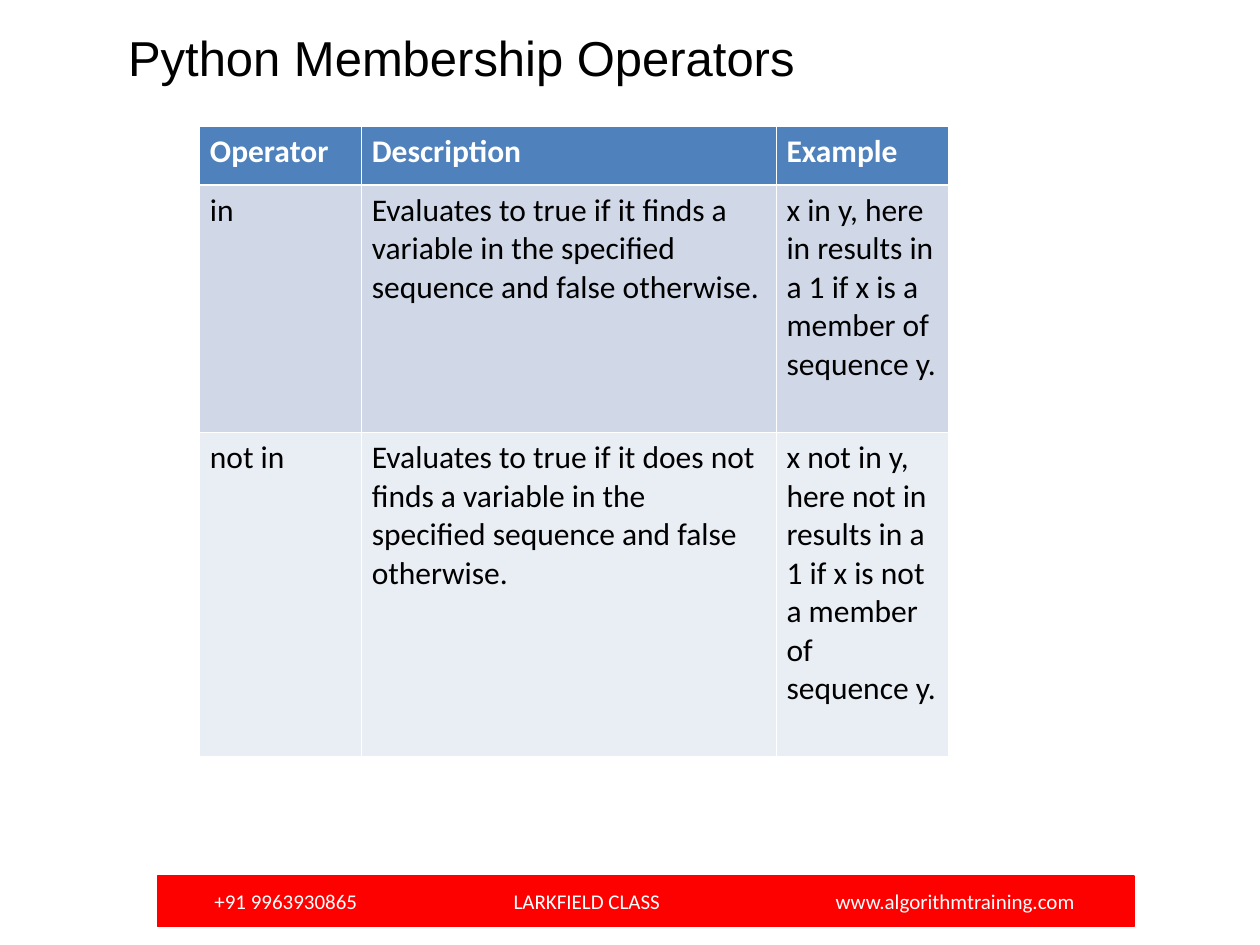
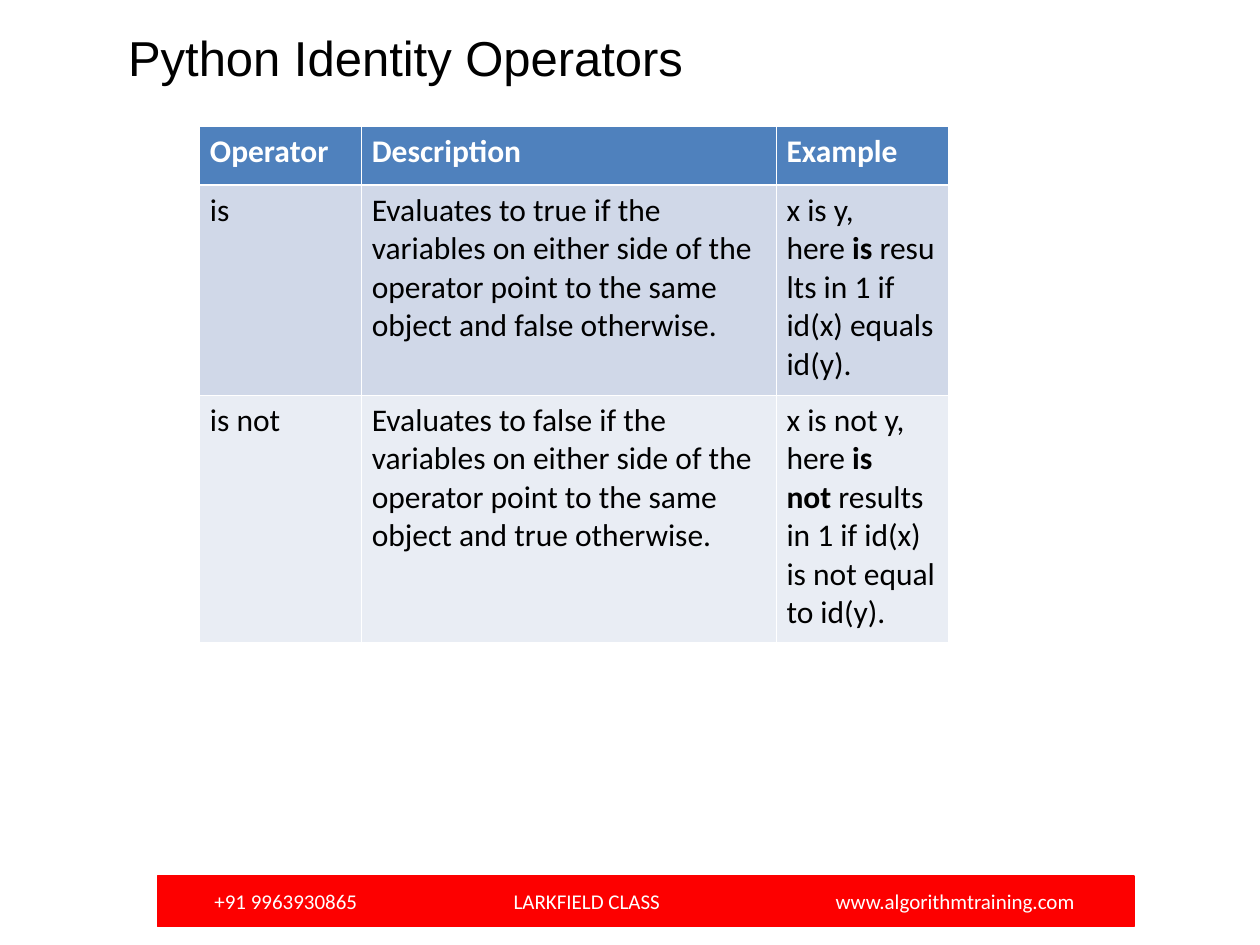
"""Build two slides of Python operator tables with a shared title and contact bar."""
from lxml.etree import SubElement
from pptx import Presentation
from pptx.dml.color import RGBColor
from pptx.enum.shapes import MSO_SHAPE
from pptx.enum.text import MSO_ANCHOR, MSO_AUTO_SIZE, PP_ALIGN
from pptx.oxml.ns import qn
from pptx.util import Pt

HARD_SPACE = chr(160)
HEADINGS = ("Operator", "Description", "Example")
SLIDES = [
    {
        "title": "Python Membership Operators",
        "rows": [
            ("in",
             "Evaluates to true if it finds a variable in the specified sequence and false otherwise.",
             "x in y, here in results in a 1 if x is a member of sequence y."),
            ("not in",
             "Evaluates to true if it does not finds a variable in the specified sequence and false otherwise.",
             "x not in y, here not in results in a 1 if x is not a member of sequence y."),
        ],
        "row_heights": (141.5, 185),
    },
    {
        "title": "Python Identity Operators",
        "rows": [
            ("is",
             "Evaluates to true if the variables on either side of the operator point to the same object and false otherwise.",
             f"x is y, here{HARD_SPACE}*is*{HARD_SPACE}results in 1 if id(x) equals id(y)."),
            ("is not",
             "Evaluates to false if the variables on either side of the operator point to the same object and true otherwise.",
             f"x is not y, here{HARD_SPACE}*is not*{HARD_SPACE}results in 1 if id(x) is not equal to id(y)."),
        ],
        "row_heights": (120, 141.5),
    },
]
CONTACTS = ("+91 9963930865", "LARKFIELD CLASS", "www.algorithmtraining.com")
CONTACT_TABS = (171, 355)

BLACK = RGBColor(0x00, 0x00, 0x00)
WHITE = RGBColor(0xFF, 0xFF, 0xFF)
RED = RGBColor(0xFD, 0x00, 0x00)
HEADER_BLUE = RGBColor(0x4F, 0x81, 0xBD)
BANDS = (RGBColor(0xD0, 0xD8, 0xE8), RGBColor(0xE9, 0xED, 0xF4))

COLUMN_WIDTHS = (92.5, 237, 98.5)
HEADER_HEIGHT = 33.75
THIN, THICK = 0.45, 1.47


def write(frame, text, *, size=18, font="Calibri", color=BLACK, bold=False, tabs=()):
    """Write left-aligned text, with starred parts in bold, into a text frame."""
    frame.word_wrap = True
    para = frame.paragraphs[0]
    para.alignment = PP_ALIGN.LEFT
    if tabs:
        tab_list = SubElement(para._p.get_or_add_pPr(), qn("a:tabLst"))
        for position in tabs:
            SubElement(tab_list, qn("a:tab"), pos=str(Pt(position)), algn="l")
    for index, part in enumerate(text.split("*")):
        span = para.add_run()
        span.text = part
        span.font.size = Pt(size)
        span.font.name = font
        span.font.bold = bold or index % 2 == 1
        span.font.color.rgb = color


def add_title(page, text):
    """Place the slide title in its placeholder."""
    title = page.shapes.title
    title.left, title.top, title.width, title.height = Pt(66), Pt(12), Pt(540), Pt(41)
    frame = title.text_frame
    frame.vertical_anchor = MSO_ANCHOR.TOP
    frame.auto_size = MSO_AUTO_SIZE.SHAPE_TO_FIT_TEXT
    write(frame, text, size=28, font="Arial")


def add_contact_bar(page):
    """Draw the red bar with the contact details at tab stops."""
    bar = page.shapes.add_shape(MSO_SHAPE.RECTANGLE, Pt(90), Pt(500.5), Pt(558), Pt(29))
    bar.shadow.inherit = False
    bar.fill.solid()
    bar.fill.fore_color.rgb = RED
    bar.line.color.rgb = RED
    bar.line.width = Pt(0.75)
    frame = bar.text_frame
    frame.margin_left = Pt(32.5)
    frame.vertical_anchor = MSO_ANCHOR.MIDDLE
    write(frame, "\t".join(CONTACTS), size=12, color=WHITE, tabs=CONTACT_TABS)


def style_cell(cell, fill, top, bottom):
    """Give a cell white borders, a plain fill and narrow side margins."""
    properties = cell._tc.get_or_add_tcPr()
    for side, width in (("L", THIN), ("R", THIN), ("T", top), ("B", bottom)):
        line = SubElement(properties, qn(f"a:ln{side}"), w=str(Pt(width)))
        SubElement(SubElement(line, qn("a:solidFill")), qn("a:srgbClr"), val=str(WHITE))
    cell.fill.solid()
    cell.fill.fore_color.rgb = fill
    cell.margin_left = cell.margin_right = Pt(6)


def add_operator_table(page, rows, row_heights):
    """Add the table of operators below the title."""
    heights = (HEADER_HEIGHT, *row_heights)
    table = page.shapes.add_table(
        len(heights), len(HEADINGS), Pt(114), Pt(72),
        Pt(sum(COLUMN_WIDTHS)), Pt(sum(heights))).table
    for column, width in zip(table.columns, COLUMN_WIDTHS):
        column.width = Pt(width)
    for index, (height, texts) in enumerate(zip(heights, (HEADINGS, *rows))):
        table.rows[index].height = Pt(height)
        header = index == 0
        fill = HEADER_BLUE if header else BANDS[(index - 1) % 2]
        for cell, text in zip(table.rows[index].cells, texts):
            style_cell(cell, fill, THICK if index == 1 else THIN, THICK if header else THIN)
            write(cell.text_frame, text, bold=header, color=WHITE if header else BLACK)


def main():
    """Build and save the deck."""
    deck = Presentation()
    deck.slide_width, deck.slide_height = Pt(720), Pt(540)
    for content in SLIDES:
        page = deck.slides.add_slide(deck.slide_layouts[5])
        add_title(page, content["title"])
        add_contact_bar(page)
        add_operator_table(page, content["rows"], content["row_heights"])
    deck.save("out.pptx")


if __name__ == "__main__":
    main()
